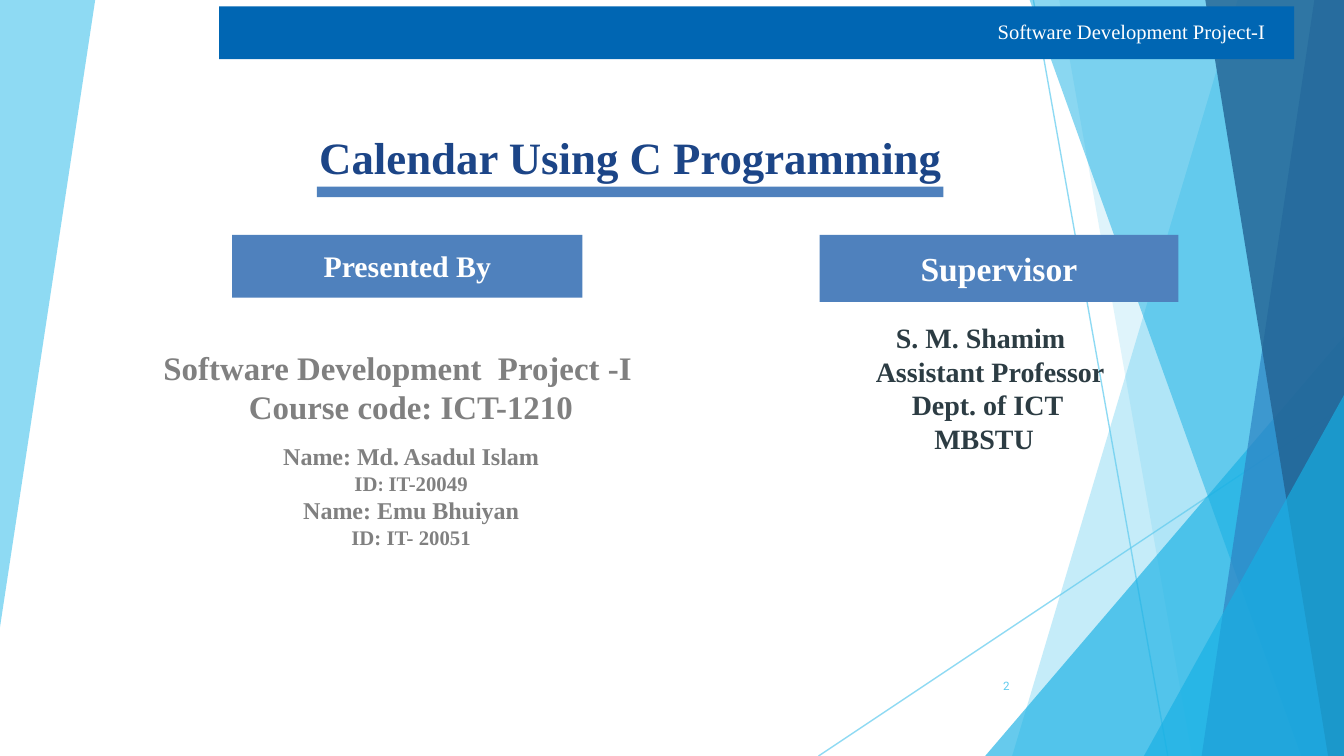
from pptx import Presentation
from pptx.dml.color import RGBColor
from pptx.enum.shapes import MSO_CONNECTOR, MSO_SHAPE
from pptx.enum.text import MSO_ANCHOR, PP_ALIGN
from pptx.oxml.ns import qn
from pptx.util import Cm, Pt
from lxml.etree import SubElement

WIDE, HIGH = 25.4, 14.29
SKY = RGBColor(0x5F, 0xCB, 0xEF)
CYAN = RGBColor(0x17, 0xB0, 0xE4)
BLUE = RGBColor(0x2E, 0x83, 0xC3)
NAVY = RGBColor(0x22, 0x62, 0x92)
ROYAL = RGBColor(0x00, 0x66, 0xB3)
STEEL = RGBColor(0x4F, 0x81, 0xBD)
INK = RGBColor(0x1C, 0x45, 0x87)
SLATE = RGBColor(0x2C, 0x3C, 0x43)
GRAY = RGBColor(0x80, 0x80, 0x80)
WHITE = RGBColor(0xFF, 0xFF, 0xFF)
SERIF = "Times New Roman"


def fade(item, alpha):
    """Set the opacity, in percent, of the item's solid colour."""
    for color in item.iter(qn("a:srgbClr")):
        SubElement(color, qn("a:alpha")).set("val", str(alpha * 1000))


def paint(shape, color, alpha=100):
    shape.shadow.inherit = False
    shape.fill.solid()
    shape.fill.fore_color.rgb = color
    shape.line.fill.background()
    if alpha < 100:
        fade(shape._element.spPr, alpha)
    return shape


def block(slide, box, color, kind=MSO_SHAPE.RECTANGLE, alpha=100):
    return paint(slide.shapes.add_shape(kind, *map(Cm, box)), color, alpha)


def facet(slide, points, color, alpha):
    dots = [(Cm(x), Cm(y)) for x, y in points]
    build = slide.shapes.build_freeform(*dots[0])
    build.add_line_segments(dots[1:], close=True)
    paint(build.convert_to_shape(), color, alpha)


def ray(slide, start, end):
    line = slide.shapes.add_connector(MSO_CONNECTOR.STRAIGHT, *map(Cm, start + end))
    line.line.color.rgb = SKY
    line.line.width = Pt(0.75)
    fade(line._element.spPr, 70)
    SubElement(line._element.spPr, qn("a:effectLst"))


def setup(shape, anchor=MSO_ANCHOR.TOP):
    frame = shape.text_frame
    frame.word_wrap = True
    frame.vertical_anchor = anchor
    frame.margin_left = frame.margin_right = Cm(0.25)
    frame.margin_top = frame.margin_bottom = Cm(0.25)
    return frame


def label(slide, box, anchor=MSO_ANCHOR.TOP):
    return setup(slide.shapes.add_textbox(*map(Cm, box)), anchor)


def write(frame, text, size, color, font=SERIF, bold=True,
          align=PP_ALIGN.CENTER, space=1.0, before=0, indent=0):
    """Add one paragraph; text is a string or a list of (text, font) runs."""
    para = frame.paragraphs[0]
    if para.runs:
        para = frame.add_paragraph()
    para.alignment = align
    para.line_spacing = space
    para.space_before = Pt(before)
    if indent:
        para._p.get_or_add_pPr().set("marL", str(Cm(indent)))
    for words, face in [(text, font)] if isinstance(text, str) else text:
        run = para.add_run()
        run.text = words
        run.font.name = face
        run.font.size = Pt(size)
        run.font.bold = bold
        run.font.color.rgb = color


def backdrop(slide, wide, high):
    # Left wedge and thin rays
    facet(slide, [(0, 0), (1.8, 0), (0, 11.86)], SKY, 70)
    ray(slide, (19.53, 0), (22.07, high))
    ray(slide, (wide, 7.67), (15.47, high))

    def band(top, foot, color, alpha):
        facet(slide, [(top, 0), (wide, 0), (wide, high), (foot, high)], color, alpha)

    def corner(left, top):
        box = (left, top, wide - left, high - top)
        peak = block(slide, box, CYAN, MSO_SHAPE.ISOSCELES_TRIANGLE, 66)
        peak.adjustments[0] = 1

    # Overlapping facets on the right
    band(23.39, 19.13, SKY, 36)
    band(20.02, 22.53, SKY, 20)
    corner(18.62, 6.36)
    band(19.46, 24.59, CYAN, 50)
    band(24.84, 22.71, BLUE, 70)
    band(22.78, 25.1, NAVY, 80)
    corner(21.62, 7.47)


def header(slide, left, top, width, height):
    block(slide, (left, top, width, height), ROYAL)
    frame = label(slide, (left + width - 6.15, top + 0.17, 6.15, 0.61), MSO_ANCHOR.MIDDLE)
    write(frame, "Software Development Project-I", 11, WHITE, bold=False)


def title(slide, left, top, width):
    frame = label(slide, (left, top, width, 1.55))
    write(frame, "Calendar Using C Programming", 24, INK)
    bar = 11.84
    block(slide, (left + (width - bar) / 2, top + 1.32, bar, 0.2), STEEL)


def banner(slide, box, text, size):
    write(setup(block(slide, box, STEEL)), text, size, WHITE)


def team(slide, left, top, width):
    banner(slide, (left + 1.55, top, 6.62, 1.19), "Presented By", 16)
    frame = label(slide, (left, top + 1.88, width, 4.57))
    write(frame, "Software Development  Project -I", 17.6, GRAY, align=PP_ALIGN.LEFT)
    write(frame, "Course code: ICT-1210", 17.6, GRAY)
    write(frame, "Name: Md. Asadul Islam", 12.9, GRAY, space=1.15, before=6)
    write(frame, [("ID", SERIF), (":", "Cambria"), (" IT-20049", SERIF)], 11.1, GRAY)
    write(frame, "Name: Emu Bhuiyan", 12.9, GRAY)
    write(frame, "ID: IT- 20051", 11.1, GRAY)


def mentor(slide, left, top, width):
    banner(slide, (left + 1.45, top, 6.78, 1.27), "Supervisor", 18)
    frame = label(slide, (left, top + 1.37, width, 4.45))
    lines = {"S. M. Shamim": 0, "Assistant Professor": 0.36,
             "Dept. of ICT": 0.26, "MBSTU": 0.13}
    for text, indent in lines.items():
        write(frame, text, 15, SLATE, indent=indent)


def number(slide, *box):
    frame = label(slide, box, MSO_ANCHOR.MIDDLE)
    write(frame, "2", 6.2, SKY, font="Roboto", bold=False, align=PP_ALIGN.RIGHT, space=0.9)


def main():
    deck = Presentation()
    deck.slide_width, deck.slide_height = Cm(WIDE), Cm(HIGH)
    slide = deck.slides.add_slide(deck.slide_layouts[6])
    backdrop(slide, WIDE, HIGH)
    header(slide, 4.14, 0.12, 20.32, 1)
    title(slide, 3.3, 2.21, 17.22)
    team(slide, 2.84, 4.44, 9.86)
    mentor(slide, 14.04, 4.44, 8.99)
    number(slide, 17.91, 12.6, 1.42, 0.76)
    deck.save("out.pptx")


if __name__ == "__main__":
    main()
